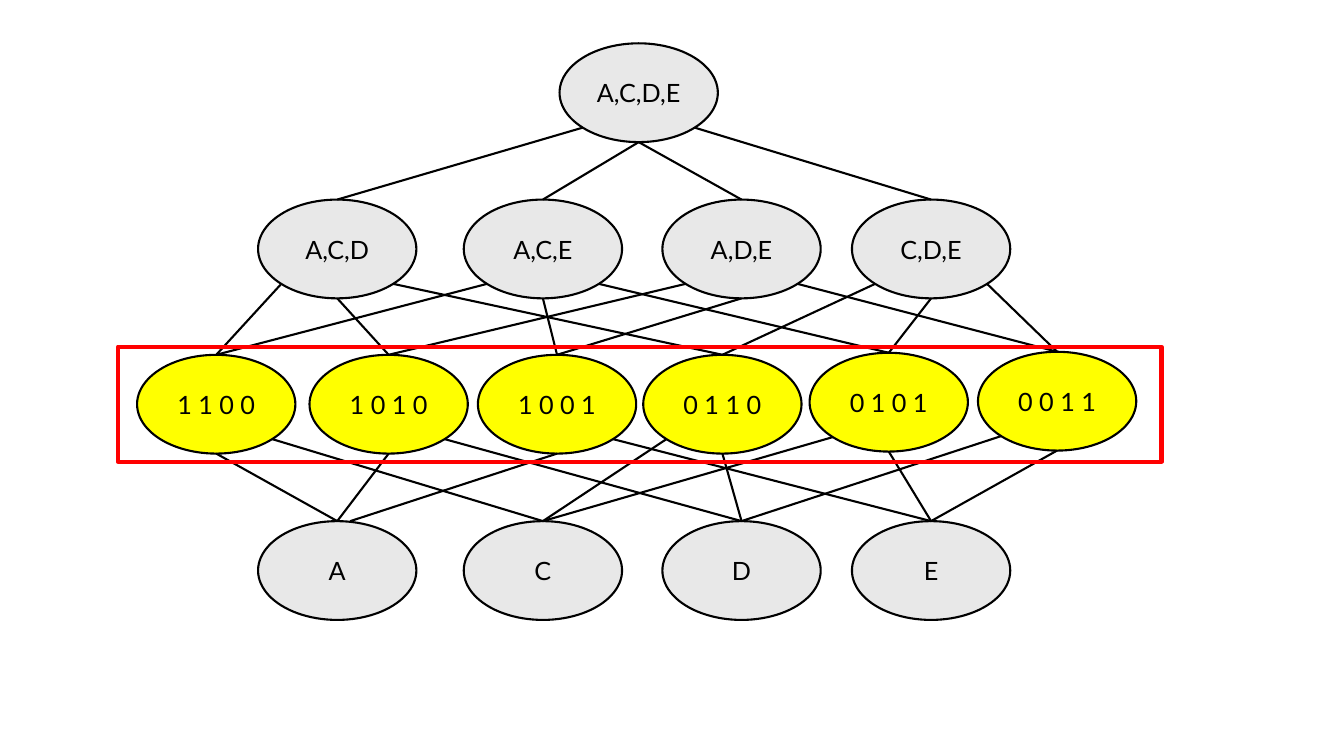
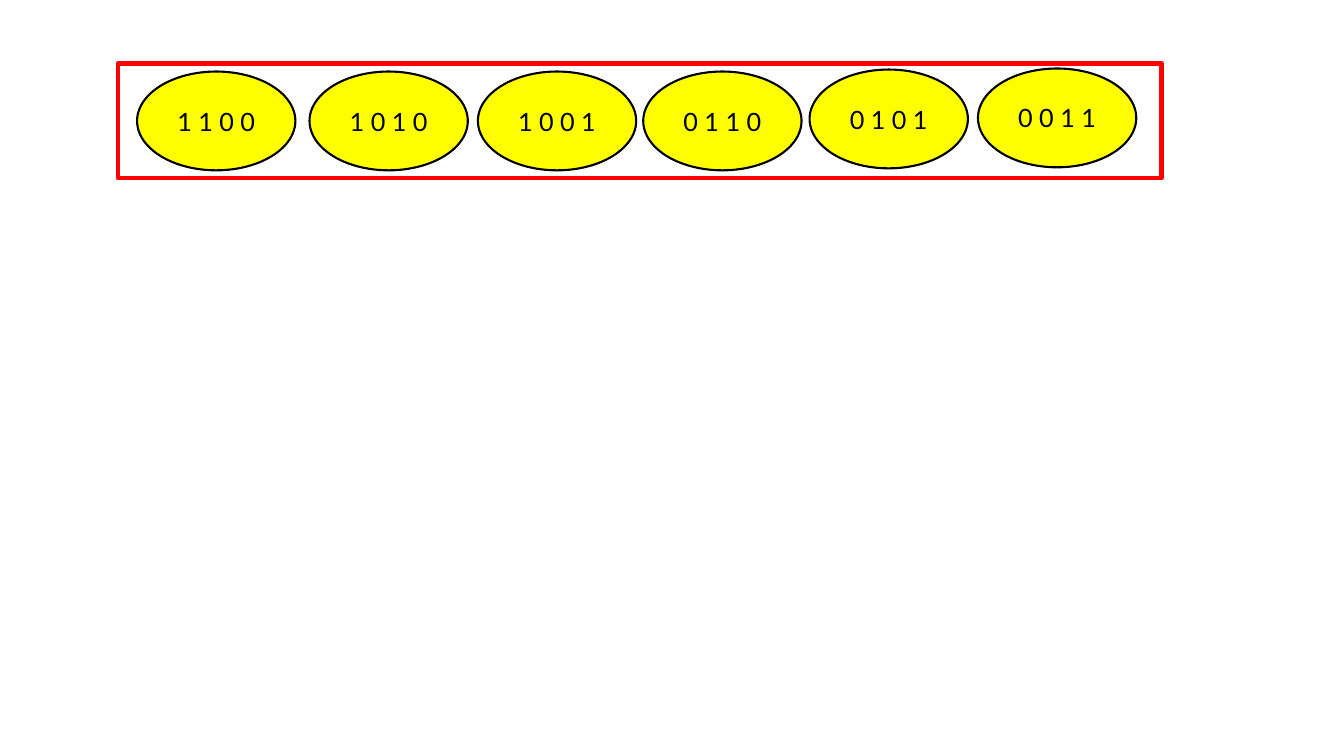
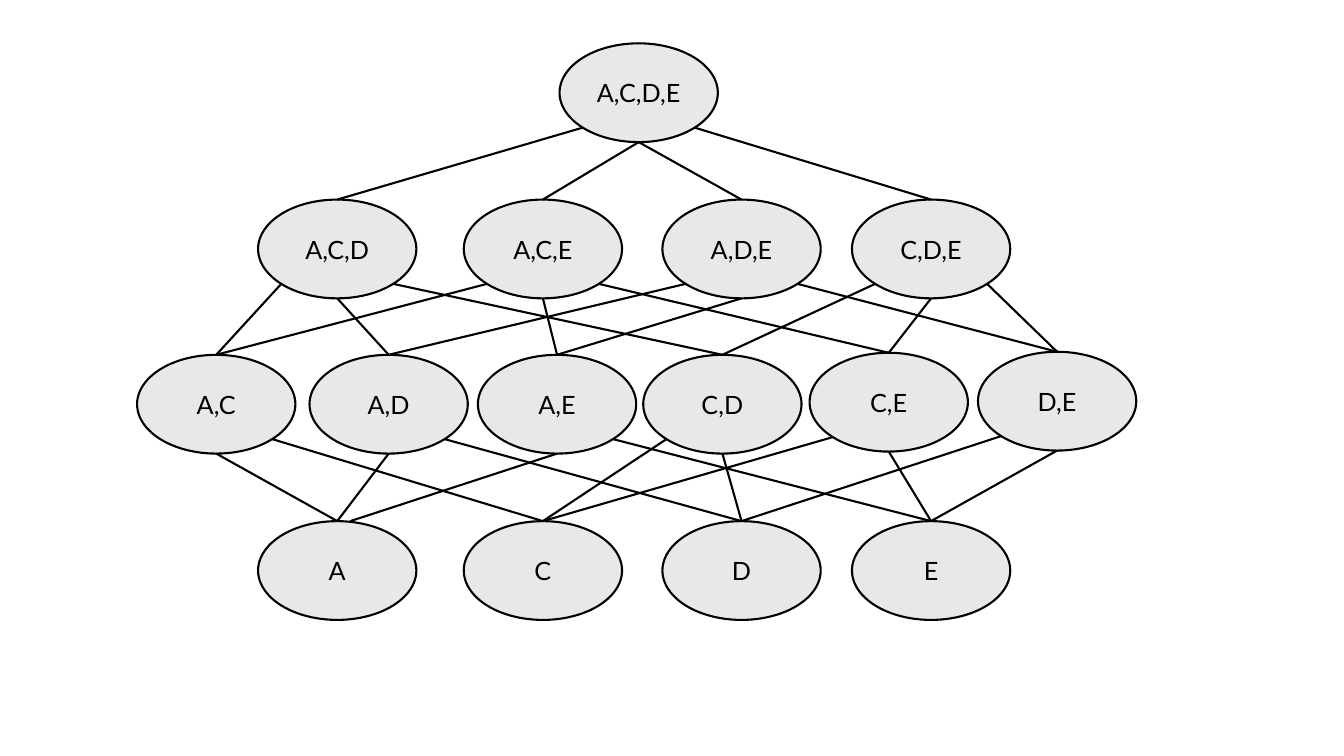
"""Build three slides of an itemset lattice and its pair level as bit vectors."""
from dataclasses import dataclass
from math import sqrt

from lxml import etree
from pptx import Presentation
from pptx import util as u
from pptx.dml.color import RGBColor
from pptx.enum import shapes, text
from pptx.oxml.ns import qn


@dataclass(frozen=True)
class Theme:
    ink: str = "000000"
    plain: str = "E8E8E8"
    marked: str = "FFFF00"
    frame: str = "FF0000"
    font: str = "Lato"
    size: float = 18
    outline: float = 1.5
    frame_outline: float = 3


T = Theme()
SLIDE_W, SLIDE_H = 13.33, 7.5
NODE_W, NODE_H = 1.57, 0.98
ITEMS = "ACDE"

FOUR_COLUMNS = (2.56, 4.6, 6.57, 8.45)
PAIRS = [("AC", 1.36, 3.52), ("AD", 3.07, 3.52), ("AE", 4.74, 3.52),
         ("CD", 6.38, 3.52), ("CE", 8.03, 3.5), ("DE", 9.7, 3.49)]
LEVELS = [
    [("ACDE", 5.55, 0.43)],
    [(name, x, 1.98) for name, x in zip(("ACD", "ACE", "ADE", "CDE"), FOUR_COLUMNS)],
    PAIRS,
    [(name, x, 5.17) for name, x in zip(ITEMS, FOUR_COLUMNS)],
]
FRAME = (1.17, 3.44, 10.35, 1.14)
PAIR_SHIFT = -2.81

TOP, LOWER_LEFT, BOTTOM, LOWER_RIGHT = 0, 3, 4, 5
DIAGONAL = sqrt(0.5)
SITES = {TOP: (0, -1), LOWER_LEFT: (-DIAGONAL, DIAGONAL),
         BOTTOM: (0, 1), LOWER_RIGHT: (DIAGONAL, DIAGONAL)}
END_SHIFT = {("AE", "A"): 0.13}


def rgb(color):
    """Return a colour object for a hex string."""
    return RGBColor.from_string(color)


def add_outlined(s, kind, box, line, width, fill=None):
    """Add a flat shape with an outline and an optional fill."""
    sp = s.shapes.add_shape(kind, *(u.Inches(v) for v in box))
    sp.shadow.inherit = False
    if fill:
        sp.fill.solid()
        sp.fill.fore_color.rgb = rgb(fill)
    else:
        sp.fill.background()
    sp.line.color.rgb = rgb(line)
    sp.line.width = u.Pt(width)
    return sp


def add_node(s, label, x, y, fill):
    """Add one labelled ellipse."""
    sp = add_outlined(s, shapes.MSO_SHAPE.OVAL, (x, y, NODE_W, NODE_H),
                      T.ink, T.outline, fill)
    tf = sp.text_frame
    tf.vertical_anchor = text.MSO_ANCHOR.MIDDLE
    p = tf.paragraphs[0]
    p.alignment = text.PP_ALIGN.CENTER
    r = p.add_run()
    r.text = label
    r.font.name, r.font.size = T.font, u.Pt(T.size)
    r.font.color.rgb = rgb(T.ink)
    return sp


def bits(name):
    """Return the membership vector of an itemset."""
    return " ".join("1" if item in name else "0" for item in ITEMS)


def site_point(sp, site):
    """Return the position of a connection site on an ellipse."""
    dx, dy = SITES[site]
    return (int(sp.left + sp.width * (1 + dx) / 2),
            int(sp.top + sp.height * (1 + dy) / 2))


def add_edge(s, parent, child, site, shift):
    """Join a parent ellipse to the top of a child ellipse."""
    x1, y1 = site_point(parent, site)
    x2, y2 = site_point(child, TOP)
    c = s.shapes.add_connector(shapes.MSO_CONNECTOR.STRAIGHT,
                               x1, y1, x2 + u.Inches(shift), y2)
    c.line.color.rgb = rgb(T.ink)
    c.line.width = u.Pt(T.outline)
    etree.SubElement(c.element.spPr, qn("a:effectLst"))
    ends = [("a:stCxn", parent, site)]
    if not shift:
        ends.append(("a:endCxn", child, TOP))
    joints = c.element.find(".//" + qn("p:cNvCxnSpPr"))
    for tag, sp, idx in ends:
        etree.SubElement(joints, qn(tag), id=str(sp.shape_id), idx=str(idx))


def leaving_sites(name):
    """Return the sites from which a node's edges leave, left to right."""
    if len(name) == 2:
        return (BOTTOM, LOWER_RIGHT) if ITEMS[0] in name else (LOWER_LEFT, BOTTOM)
    return (LOWER_LEFT, *[BOTTOM] * (len(name) - 2), LOWER_RIGHT)


def add_lattice(s, mark_pairs):
    """Draw all levels and join each itemset to its subsets one level down."""
    nodes = {}
    for level in LEVELS:
        for name, x, y in level:
            marked = mark_pairs and level is PAIRS
            nodes[name] = add_node(s, bits(name) if marked else ",".join(name),
                                   x, y, T.marked if marked else T.plain)
    for upper, lower in zip(LEVELS, LEVELS[1:]):
        for parent, *_ in upper:
            children = [name for name, *_ in lower if set(name) < set(parent)]
            for child, site in zip(children, leaving_sites(parent)):
                add_edge(s, nodes[parent], nodes[child], site,
                         END_SHIFT.get((parent, child), 0))


def add_frame(s, dy=0):
    """Outline the pair level."""
    x, y, w, h = FRAME
    add_outlined(s, shapes.MSO_SHAPE.RECTANGLE, (x, y + dy, w, h),
                 T.frame, T.frame_outline)


def main():
    """Build and save the presentation."""
    prs = Presentation()
    prs.slide_width, prs.slide_height = u.Inches(SLIDE_W), u.Inches(SLIDE_H)
    marked, vectors, named = (prs.slides.add_slide(prs.slide_layouts[6])
                              for _ in range(3))
    add_lattice(marked, mark_pairs=True)
    add_frame(marked)
    for name, x, y in PAIRS:
        add_node(vectors, bits(name), x, y + PAIR_SHIFT, T.marked)
    add_frame(vectors, PAIR_SHIFT)
    add_lattice(named, mark_pairs=False)
    prs.save("out.pptx")


if __name__ == "__main__":
    main()
